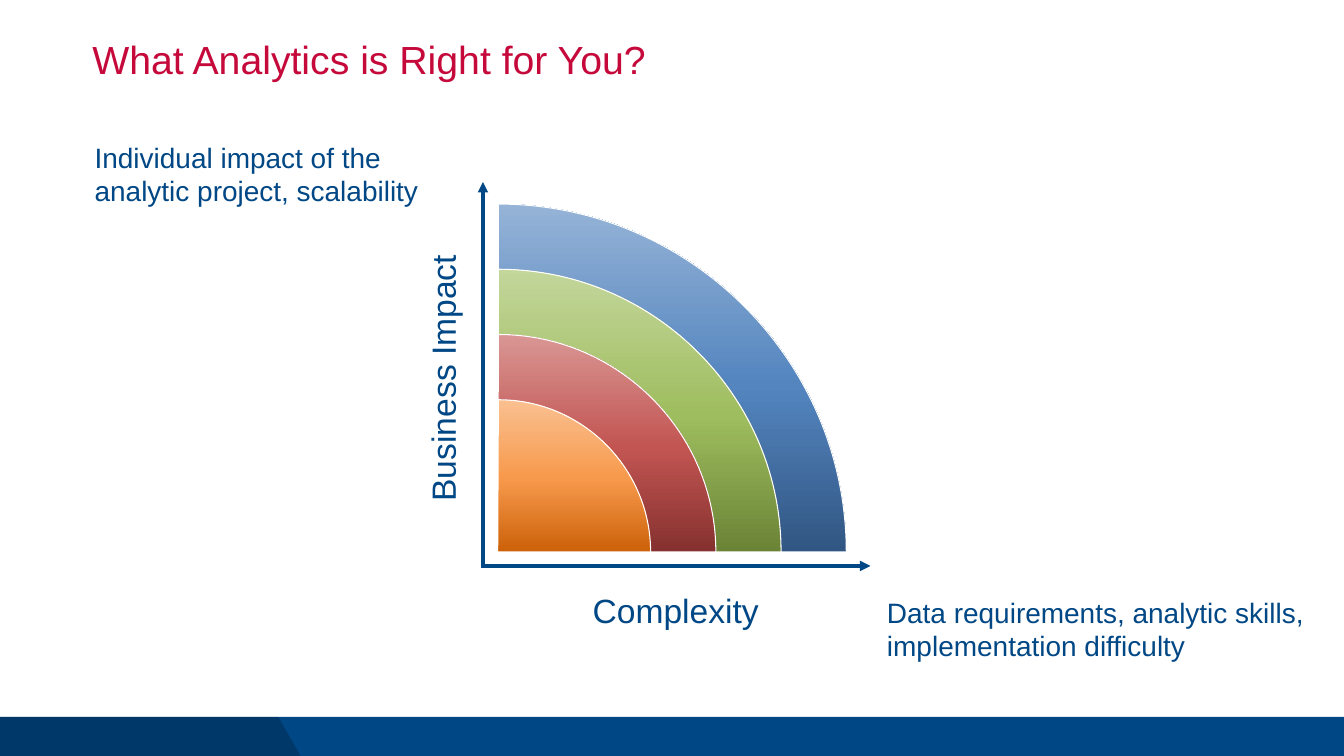
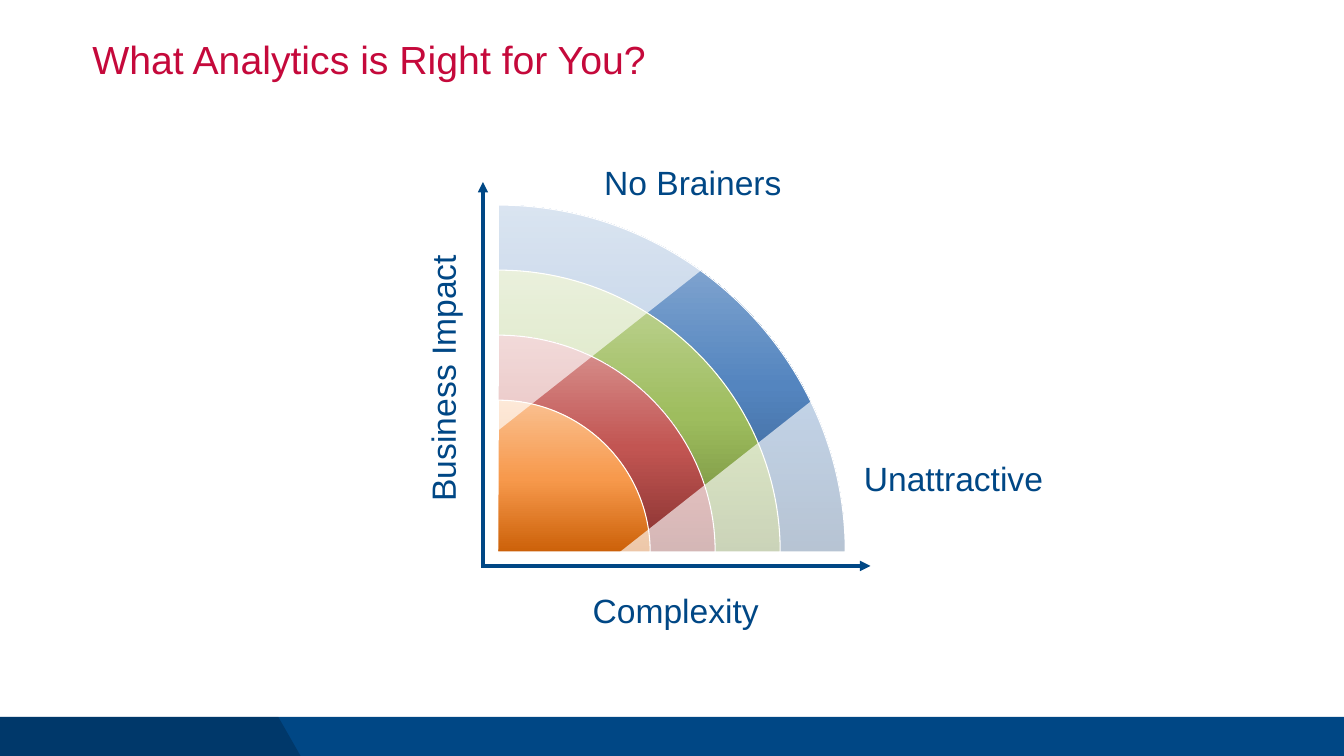
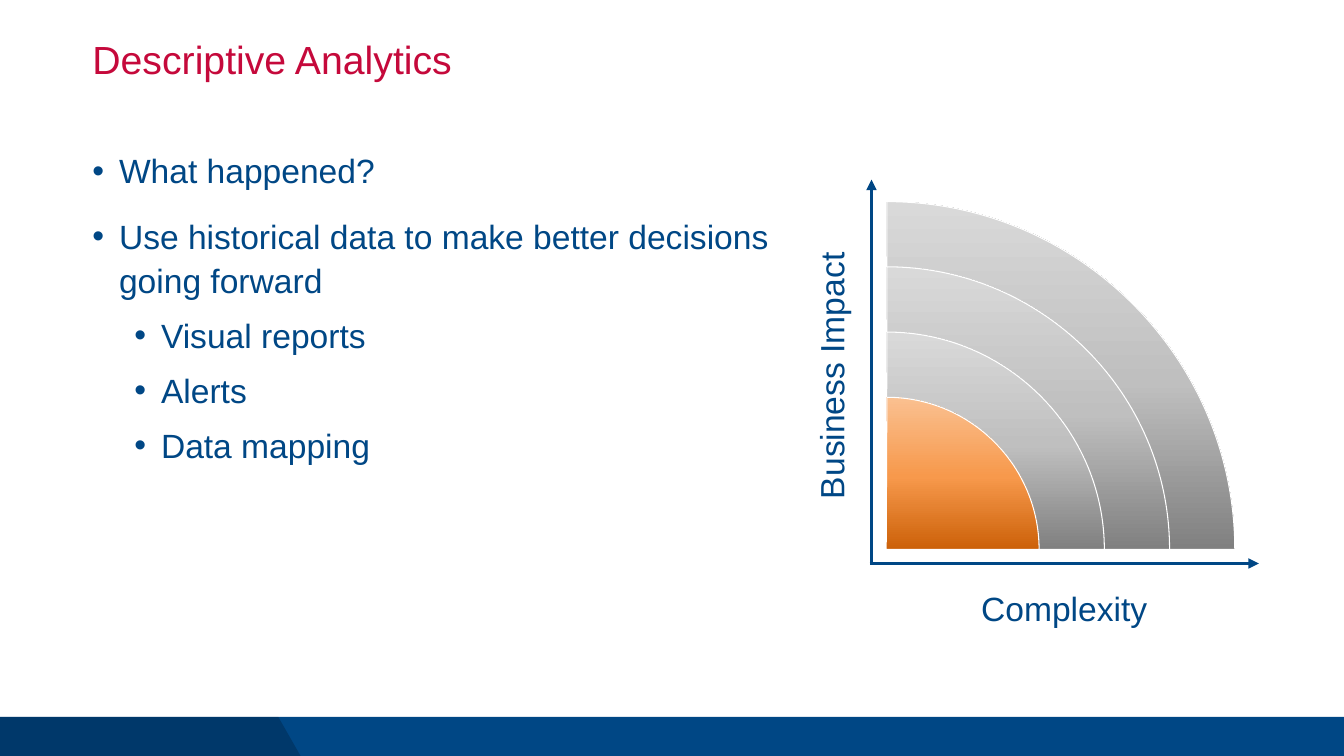
from lxml.etree import SubElement
from pptx import Presentation
from pptx.dml.color import RGBColor
from pptx.enum.shapes import MSO_CONNECTOR, MSO_SHAPE
from pptx.enum.text import MSO_ANCHOR, MSO_AUTO_SIZE, PP_ALIGN
from pptx.oxml.ns import qn
from pptx.util import Pt

WIDTH, HEIGHT = 1920, 1080
FONT = "Arial"
COLORS = {"blue": "004785", "red": "C5093B", "white": "FFFFFF", "black": "000000"}
# Gradient stops from the bottom of a ring to its top
GRADIENTS = {
    "blue": ("315683", "5485BF", "95B3D7"),
    "green": ("6A8336", "9EBD5E", "C3D69B"),
    "red": ("85312F", "C25552", "D99694"),
    "orange": ("CC6109", "F7994C", "FAC090"),
    "gray": ("808080", "BFBFBF", "D9D9D9"),
}
STOPS = (0, 48, 100)
ALL_RINGS = ("blue", "green", "red", "orange")
LABEL, NOTE, TITLE = 48, 40, 56
INDENT = 38
LEVEL_LEFT = (38, 98)
LEVEL_SPACE = (30, 15)
ARC_HANDLE = 0.55


def rgb(name):
    return RGBColor.from_string(COLORS[name])


def add_text(slide, text, box, size=LABEL, color="blue", inset=7.2, wrap=False,
             line_spacing=None, rotation=0, levels=None):
    """Write one paragraph per line of text; levels makes them bullets."""
    shape = slide.shapes.add_textbox(*map(Pt, box))
    shape.rotation = rotation
    frame = shape.text_frame
    frame.word_wrap = wrap
    frame.auto_size = MSO_AUTO_SIZE.NONE if wrap else MSO_AUTO_SIZE.SHAPE_TO_FIT_TEXT
    frame.vertical_anchor = MSO_ANCHOR.TOP
    frame.margin_left = frame.margin_right = Pt(inset)
    frame.margin_top = frame.margin_bottom = Pt(inset)
    for index, line in enumerate(text.split("\n")):
        para = frame.add_paragraph() if index else frame.paragraphs[0]
        para.alignment = PP_ALIGN.LEFT
        if levels:
            add_bullet(para, levels[index])
            if index:
                para.space_before = Pt(LEVEL_SPACE[levels[index]])
        if line_spacing:
            para.line_spacing = line_spacing
        span = para.add_run()
        span.text = line
        span.font.name = FONT
        span.font.size = Pt(size)
        span.font.color.rgb = rgb(color)


def add_bullet(para, level):
    para.level = level
    props = para._p.get_or_add_pPr()
    props.set("marL", str(Pt(LEVEL_LEFT[level])))
    props.set("indent", str(Pt(-INDENT)))
    SubElement(props, qn("a:buFont")).set("typeface", FONT)
    SubElement(props, qn("a:buChar")).set("char", "•")


def fill_solid(shape, color, opacity=100):
    shape.shadow.inherit = False
    shape.line.fill.background()
    shape.fill.solid()
    shape.fill.fore_color.rgb = rgb(color)
    if opacity < 100:
        tone = shape.element.spPr.find(qn("a:solidFill"))[0]
        SubElement(tone, qn("a:alpha")).set("val", str(opacity * 1000))


def fill_gradient(shape, tones):
    shape.fill.gradient()
    shape.fill.gradient_angle = 90
    stops = shape.element.spPr.find(qn("a:gradFill")).find(qn("a:gsLst"))
    stops.clear()
    for position, tone in zip(STOPS, tones):
        stop = SubElement(stops, qn("a:gs"))
        stop.set("pos", str(position * 1000))
        SubElement(stop, qn("a:srgbClr")).set("val", tone)


def add_outline(holder, points):
    first, *rest = [(Pt(x), Pt(y)) for x, y in points]
    builder = holder.shapes.build_freeform(*first)
    builder.add_line_segments(rest, close=True)
    shape = builder.convert_to_shape()
    shape.shadow.inherit = False
    return shape


def add_ring(holder, corner, radius, tones):
    """Draw a quarter disc, its top one point right of the corner."""
    left, bottom = corner
    lean = 1
    ring = add_outline(holder, [(left + lean, bottom - radius),
                                (left + lean + radius, bottom), corner])
    side = next(ring.element.spPr.iter(qn("a:lnTo")))
    side.tag = qn("a:cubicBezTo")
    handles = ((lean + ARC_HANDLE * radius, 0),
               (lean + radius, (1 - ARC_HANDLE) * radius))
    for index, (x, y) in enumerate(handles):
        point = SubElement(side, qn("a:pt"))
        point.set("x", str(Pt(x)))
        point.set("y", str(Pt(y)))
        side.insert(index, point)
    fill_gradient(ring, tones)
    ring.line.color.rgb = rgb("white")
    ring.line.width = Pt(1.5)


def add_axis(holder, start, end):
    axis = holder.shapes.add_connector(MSO_CONNECTOR.STRAIGHT, *map(Pt, start + end))
    axis.line.color.rgb = rgb("blue")
    axis.line.width = Pt(5)
    props = axis._element.spPr
    SubElement(props.find(qn("a:ln")), qn("a:tailEnd")).set("type", "triangle")
    SubElement(props, qn("a:effectLst"))


def add_rings(slide, corner, outer, names):
    group = slide.shapes.add_group_shape()
    for index, name in enumerate(names):
        add_ring(group, corner, outer * (1 - 0.1875 * index), GRADIENTS[name])
    return group


def add_axes(slide, corner):
    left, bottom = corner
    group = slide.shapes.add_group_shape()
    add_axis(group, (left - 21, bottom + 19.5), (left - 21, bottom - 528.5))
    add_axis(group, (left - 23.5, bottom + 20), (left + 532.5, bottom + 20))
    add_text(slide, "Business Impact", (left - 264.5, bottom - 282.5, 367, 68), rotation=270)
    add_text(slide, "Complexity", (left + 128.5, bottom + 47.5, 253, 68))


def add_veils(holder, corner):
    """Pale the two regions on either side of the diagonal."""
    left, bottom = corner
    run, rise = 464, 366
    low, high = bottom + 4, bottom - 539
    near, far = left + 169.5, left + 169.5 + run
    for points in (
        [(near, low), (far, low - rise), (far, low)],
        [(left + run, high), (left, high + rise), (left, high)],
    ):
        fill_solid(add_outline(holder, points), "white", 65)


def add_page(deck, title):
    page = deck.slides.add_slide(deck.slide_layouts[6])
    top, tall = 1024, 60.5
    band = page.shapes.add_shape(MSO_SHAPE.RECTANGLE, 0, Pt(top), Pt(WIDTH), Pt(tall))
    fill_solid(band, "blue")
    wedge = add_outline(page, [(0, top), (397.5, top), (432, top + tall), (0, top + tall)])
    fill_solid(wedge, "black", 20)
    add_text(page, title, (132, 57.5, 1656, 75.5), size=TITLE, color="red",
             inset=0, wrap=True, line_spacing=0.9)
    return page


def build_axes_page(deck, corner):
    page = add_page(deck, "What Analytics is Right for You?")
    add_rings(page, corner, 497, ALL_RINGS)
    add_axes(page, corner)
    add_text(page, "Data requirements, analytic skills,\nimplementation difficulty",
             (1260, 843, 611, 103), size=NOTE)
    add_text(page, "Individual impact of the\nanalytic project, scalability",
             (128, 193, 478, 103), size=NOTE)


def build_regions_page(deck, corner):
    page = add_page(deck, "What Analytics is Right for You?")
    rings = add_rings(page, corner, 495.5, ALL_RINGS)
    add_veils(rings, corner)
    add_axes(page, corner)
    add_text(page, "Unattractive", (1227, 646.5, 271.5, 68))
    add_text(page, "No Brainers", (856, 224, 268.5, 68))


def build_descriptive_page(deck, corner):
    page = add_page(deck, "Descriptive Analytics")
    add_rings(page, corner, 497, ("gray", "gray", "gray", "orange"))
    add_axes(page, corner)
    bullets = (
        ("What happened?", 0),
        ("Use historical data to make better decisions going forward", 0),
        ("Visual reports", 1),
        ("Alerts", 1),
        ("Data mapping", 1),
    )
    lines, levels = zip(*bullets)
    add_text(page, "\n".join(lines), (132, 209, 978.5, 803.5), inset=0, wrap=True,
             line_spacing=1.1, levels=levels)


def main():
    deck = Presentation()
    deck.slide_width, deck.slide_height = Pt(WIDTH), Pt(HEIGHT)
    build_axes_page(deck, (711, 788.5))
    build_regions_page(deck, (711, 788.5))
    build_descriptive_page(deck, (1266, 785))
    deck.save("out.pptx")


if __name__ == "__main__":
    main()
